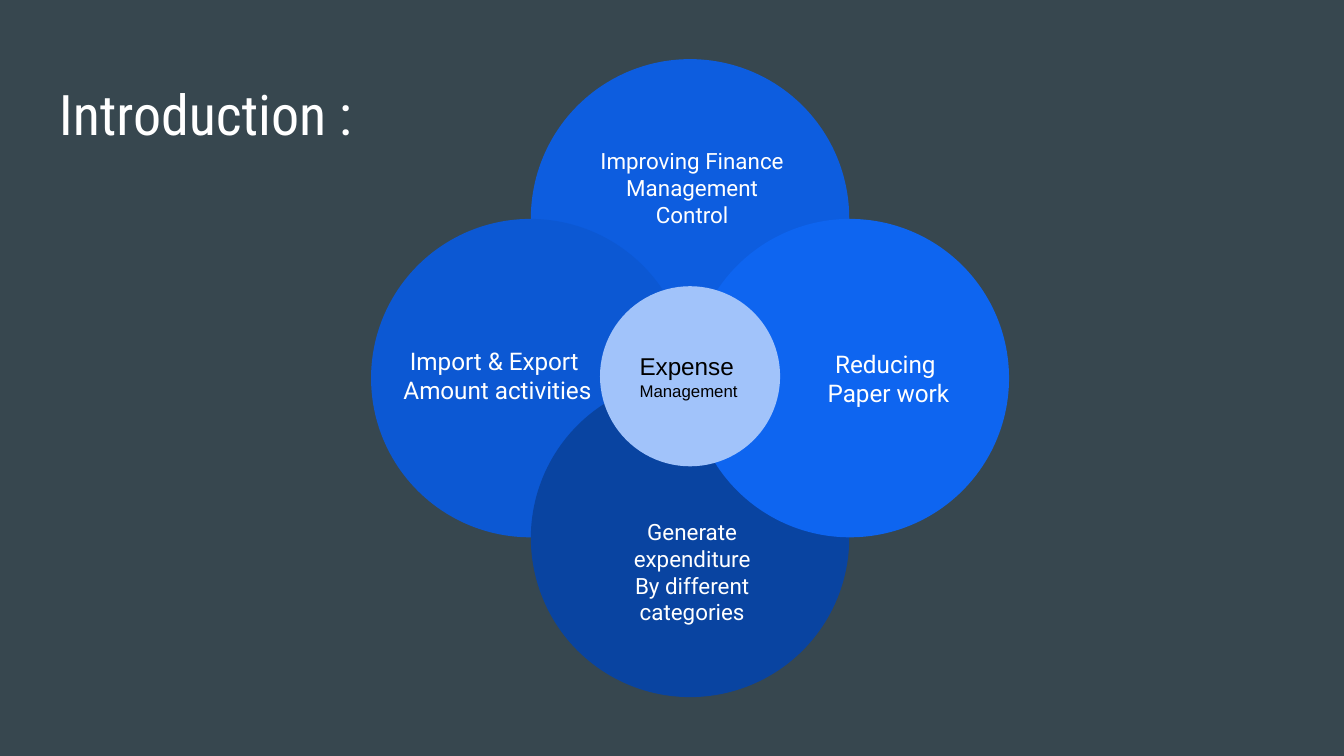
from dataclasses import dataclass

from pptx import Presentation
from pptx.dml.color import RGBColor
from pptx.enum import shapes, text
from pptx.util import Pt


@dataclass(frozen=True)
class Theme:
    back: str = "37474F"
    white: str = "FFFFFF"
    black: str = "000000"
    top: str = "0D5DDF"
    left: str = "0C58D3"
    base: str = "0944A1"
    right: str = "0E65F0"
    core: str = "A1C3FA"
    head: str = "Roboto Condensed"
    body: str = "Roboto"
    plain: str = "Arial"
    title: int = 30
    large: int = 13
    mid: int = 12
    small: int = 9


THEME = Theme()
MID_X, MID_Y = 369.7, 202.6
STEP = 85.6
PETAL = 170.6
CORE = 96.5
LABEL_W, LABEL_H = 118, 55.4
INSET = 7.2


def paint(fill, color):
    fill.solid()
    fill.fore_color.rgb = RGBColor.from_string(color)


def write(shape, lines, sizes, font, color, align, anchor):
    frame = shape.text_frame
    frame.text = "\n".join(lines)
    frame.word_wrap = True
    frame.vertical_anchor = anchor
    frame.margin_left = frame.margin_right = Pt(INSET)
    frame.margin_top = frame.margin_bottom = Pt(INSET)
    for para, size in zip(frame.paragraphs, sizes):
        para.alignment = align
        for run in para.runs:
            run.font.name = font
            run.font.size = Pt(size)
            run.font.color.rgb = RGBColor.from_string(color)


def add_disc(slide, x, y, size, color):
    disc = slide.shapes.add_shape(
        shapes.MSO_SHAPE.OVAL,
        Pt(x - size / 2), Pt(y - size / 2), Pt(size), Pt(size))
    disc.shadow.inherit = False
    paint(disc.fill, color)
    disc.line.fill.background()
    return disc


def add_label(slide, x, y, lines, size):
    box = slide.shapes.add_textbox(Pt(x), Pt(y), Pt(LABEL_W), Pt(LABEL_H))
    write(box, lines, [size] * len(lines), THEME.body, THEME.white,
          text.PP_ALIGN.CENTER, text.MSO_ANCHOR.MIDDLE)


def add_petal(slide, dx, dy, color, x, y, lines, size):
    add_disc(slide, MID_X + dx * STEP, MID_Y + dy * STEP, PETAL, color)
    add_label(slide, x, y, lines, size)


def add_core(slide, lines):
    disc = add_disc(slide, MID_X, 201.6, CORE, THEME.core)
    write(disc, lines, [THEME.large, THEME.small], THEME.plain, THEME.black,
          text.PP_ALIGN.LEFT, text.MSO_ANCHOR.MIDDLE)


def add_title(slide, words):
    box = slide.shapes.add_textbox(Pt(24.5), Pt(35.4), Pt(671), Pt(45.4))
    write(box, [words], [THEME.title], THEME.head, THEME.white,
          text.PP_ALIGN.LEFT, text.MSO_ANCHOR.TOP)


def main():
    deck = Presentation()
    deck.slide_width, deck.slide_height = Pt(720), Pt(405)
    slide = deck.slides.add_slide(deck.slide_layouts[6])
    paint(slide.background.fill, THEME.back)

    petals = [
        (0, -1, THEME.top, 311.8, 72.7,
         ["Improving Finance", "Management Control"], THEME.mid),
        (-1, 0, THEME.left, 207.4, 173.5,
         ["Import & Export ", "Amount activities"], THEME.large),
        (0, 1, THEME.base, 311.8, 278.6,
         ["Generate expenditure", "By different categories"], THEME.mid),
        (1, 0, THEME.right, 416.9, 175,
         ["Reducing ", "Paper work"], THEME.large),
    ]
    for petal in petals:
        add_petal(slide, *petal)
    add_core(slide, ["Expense", "Management"])
    add_title(slide, "Introduction :")
    deck.save("out.pptx")


if __name__ == "__main__":
    main()
